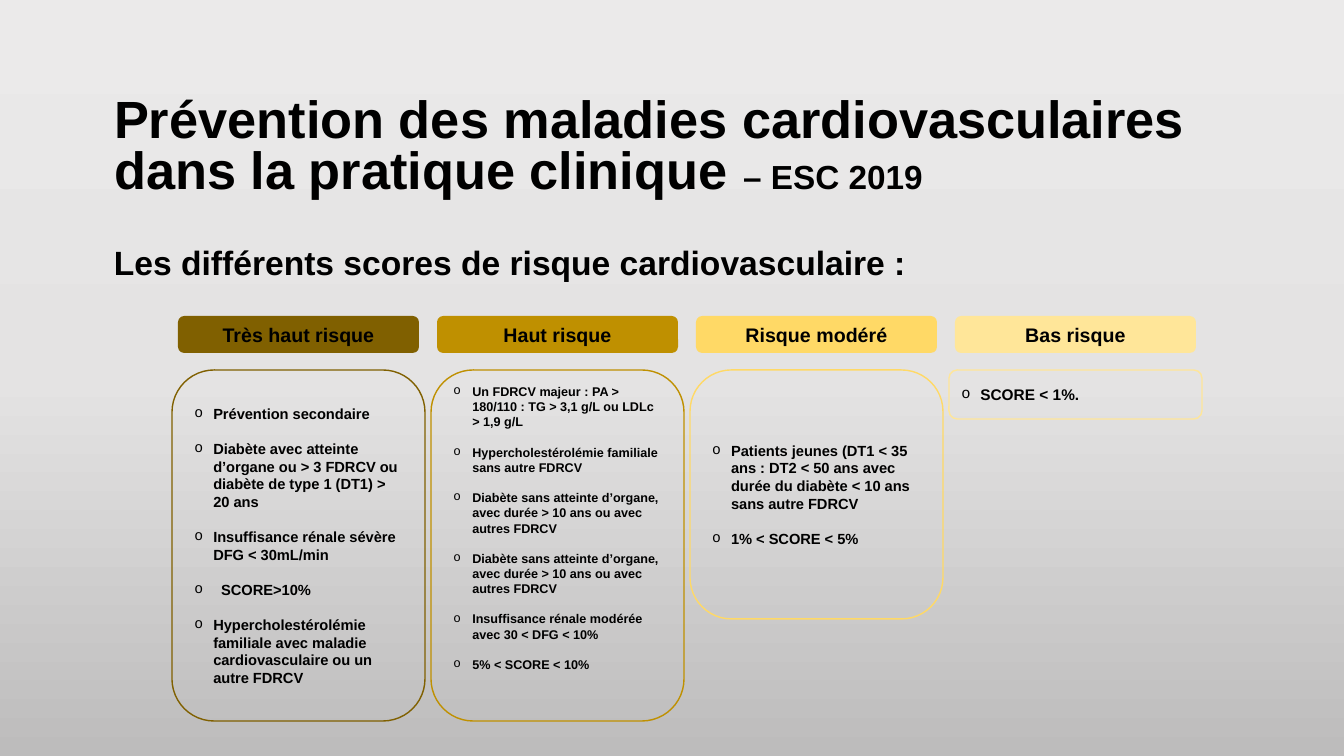
from copy import deepcopy

from lxml import etree
from pptx import Presentation
from pptx.dml.color import RGBColor
from pptx.enum.shapes import MSO_SHAPE
from pptx.enum.text import MSO_ANCHOR, MSO_AUTO_SIZE, PP_ALIGN
from pptx.oxml.ns import qn
from pptx.util import Emu, Pt

ROUNDED = MSO_SHAPE.ROUNDED_RECTANGLE
MIDDLE = MSO_ANCHOR.MIDDLE
TOP = MSO_ANCHOR.TOP
LEFT = PP_ALIGN.LEFT
CENTER = PP_ALIGN.CENTER
NO_AUTOFIT = MSO_AUTO_SIZE.NONE

WIDTH, HEIGHT = 1344, 756
SCALE = 12192000 / WIDTH
FONT = "Arial"
BLACK = "000000"
BACKGROUND_STOPS = [(0, "EBEAEA"), (0.5, "E4E3E3"), (1, "BDBCBC")]

COLUMN_LEFT, COLUMN_STEP = 172, 259
HEADER_INSET, HEADER_TOP, HEADER_WIDTH, HEADER_HEIGHT = 6, 316, 241, 37
CARD_TOP, CARD_WIDTH = 370, 253
BULLET_INDENT = 19
INDENTED_ITEM, EXTRA_INDENT = "SCORE>10%", 8

# (heading, colour, card height, text size, bottom inset, items)
COLUMNS = [
    ("Très haut risque", "806000", 351, 10.5, 5, [
        "Prévention secondaire",
        "Diabète avec atteinte d’organe ou > 3 FDRCV ou diabète de type 1 (DT1) > 20 ans",
        "Insuffisance rénale sévère DFG < 30mL/min",
        INDENTED_ITEM,
        "Hypercholestérolémie familiale avec maladie cardiovasculaire ou un autre FDRCV",
    ]),
    ("Haut risque", "BF9000", 351, 9, 40, [
        "Un FDRCV majeur : PA > 180/110 : TG > 3,1 g/L ou LDLc > 1,9 g/L",
        "Hypercholestérolémie familiale sans autre FDRCV",
        "Diabète sans atteinte d’organe, avec durée > 10 ans ou avec autres FDRCV",
        "Diabète sans atteinte d’organe, avec durée > 10 ans ou avec autres FDRCV",
        "Insuffisance rénale modérée avec 30 < DFG < 10%",
        "5% < SCORE < 10%",
    ]),
    ("Risque modéré", "FFD966", 249, 10.5, 5, [
        "Patients jeunes (DT1 < 35 ans : DT2 < 50 ans avec durée du diabète < 10 ans sans autre FDRCV",
        "1% < SCORE < 5%",
    ]),
    ("Bas risque", "FFE699", 49, 11, 5, ["SCORE < 1%."]),
]


def px(value):
    return Emu(round(value * SCALE))


def color(value):
    return RGBColor.from_string(value)


def style_font(font, size):
    font.name = FONT
    font.size = Pt(size)
    font.bold = True
    font.color.rgb = color(BLACK)


def set_background(slide):
    fill = slide.background.fill
    fill.gradient()
    fill.gradient_angle = 270
    stop_list = next(slide.element.iter(qn("a:gsLst")))
    stop_list.insert(1, deepcopy(stop_list[0]))
    for stop, (position, value) in zip(fill.gradient_stops, BACKGROUND_STOPS):
        stop.position = position
        stop.color.rgb = color(value)


def add_title(slide):
    title = slide.shapes.title
    title.left, title.top, title.width, title.height = map(px, (104, 76, 1102, 146))
    frame = title.text_frame
    frame.word_wrap = True
    frame.auto_size = NO_AUTOFIT
    frame.vertical_anchor = MIDDLE
    paragraph = frame.paragraphs[0]
    paragraph.alignment = LEFT
    paragraph.line_spacing = 0.8
    for text, size in [
        ("Prévention des maladies cardiovasculaires dans la pratique clinique ", 37.4),
        ("– ESC 2019", 23.8),
    ]:
        run = paragraph.add_run()
        run.text = text
        style_font(run.font, size)


def add_subtitle(slide):
    box = slide.shapes.add_textbox(*map(px, (104, 242, 847, 57)))
    frame = box.text_frame
    frame.word_wrap = True
    frame.vertical_anchor = TOP
    paragraph = frame.paragraphs[0]
    paragraph.text = "Les différents scores de risque cardiovasculaire :"
    paragraph.line_spacing = 0.9
    style_font(paragraph.font, 24)


def add_rounded_box(slide, left, top, width, height):
    shape = slide.shapes.add_shape(ROUNDED, px(left), px(top), px(width), px(height))
    shape.shadow.inherit = False
    shape.text_frame.word_wrap = True
    shape.text_frame.vertical_anchor = MIDDLE
    return shape


def add_header(slide, left, text, fill):
    shape = add_rounded_box(slide, left, HEADER_TOP, HEADER_WIDTH, HEADER_HEIGHT)
    shape.fill.solid()
    shape.fill.fore_color.rgb = color(fill)
    shape.line.fill.background()
    paragraph = shape.text_frame.paragraphs[0]
    paragraph.text = text
    paragraph.alignment = CENTER
    style_font(paragraph.font, 14)


def add_bullet(paragraph, margin):
    properties = paragraph._p.get_or_add_pPr()
    properties.set("marL", str(px(margin)))
    properties.set("indent", str(-px(margin)))
    etree.SubElement(properties, qn("a:buFont"), typeface="Courier New")
    etree.SubElement(properties, qn("a:buChar"), char="o")


def add_card(slide, left, height, line, size, bottom_inset, items):
    shape = add_rounded_box(slide, left, CARD_TOP, CARD_WIDTH, height)
    shape.fill.background()
    shape.line.color.rgb = color(line)
    shape.line.width = Pt(1)
    frame = shape.text_frame
    frame.margin_bottom = px(bottom_inset)
    for index, item in enumerate(items):
        paragraph = frame.add_paragraph() if index else frame.paragraphs[0]
        paragraph.text = item
        extra = EXTRA_INDENT if item == INDENTED_ITEM else 0
        add_bullet(paragraph, BULLET_INDENT + extra)
        paragraph.alignment = LEFT
        if index:
            paragraph.space_before = Pt(round(size * 1.2, 1))
        style_font(paragraph.font, size)


def main():
    presentation = Presentation()
    presentation.slide_width = px(WIDTH)
    presentation.slide_height = px(HEIGHT)
    slide = presentation.slides.add_slide(presentation.slide_layouts[5])
    set_background(slide)
    add_title(slide)
    add_subtitle(slide)
    for index, (heading, tone, height, size, bottom_inset, items) in enumerate(COLUMNS):
        left = COLUMN_LEFT + index * COLUMN_STEP
        add_header(slide, left + HEADER_INSET, heading, tone)
        add_card(slide, left, height, tone, size, bottom_inset, items)
    presentation.save("out.pptx")


if __name__ == "__main__":
    main()
